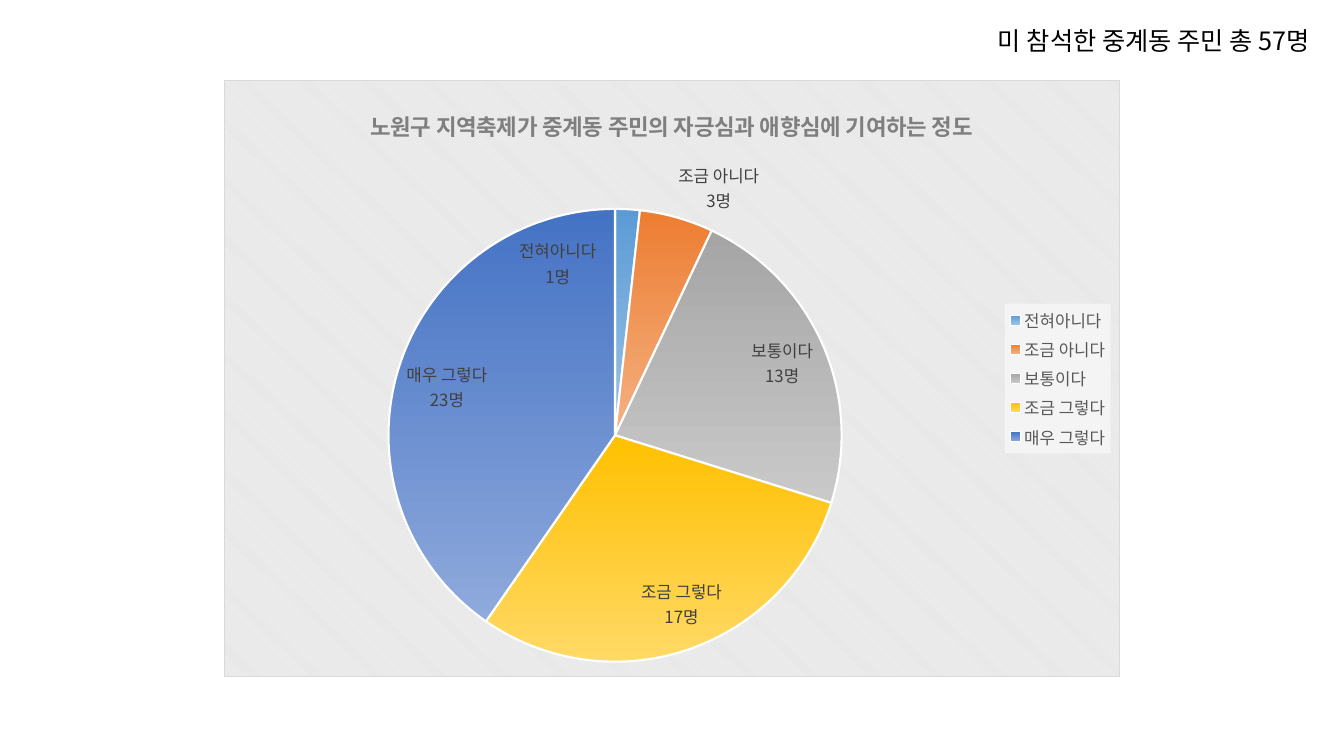
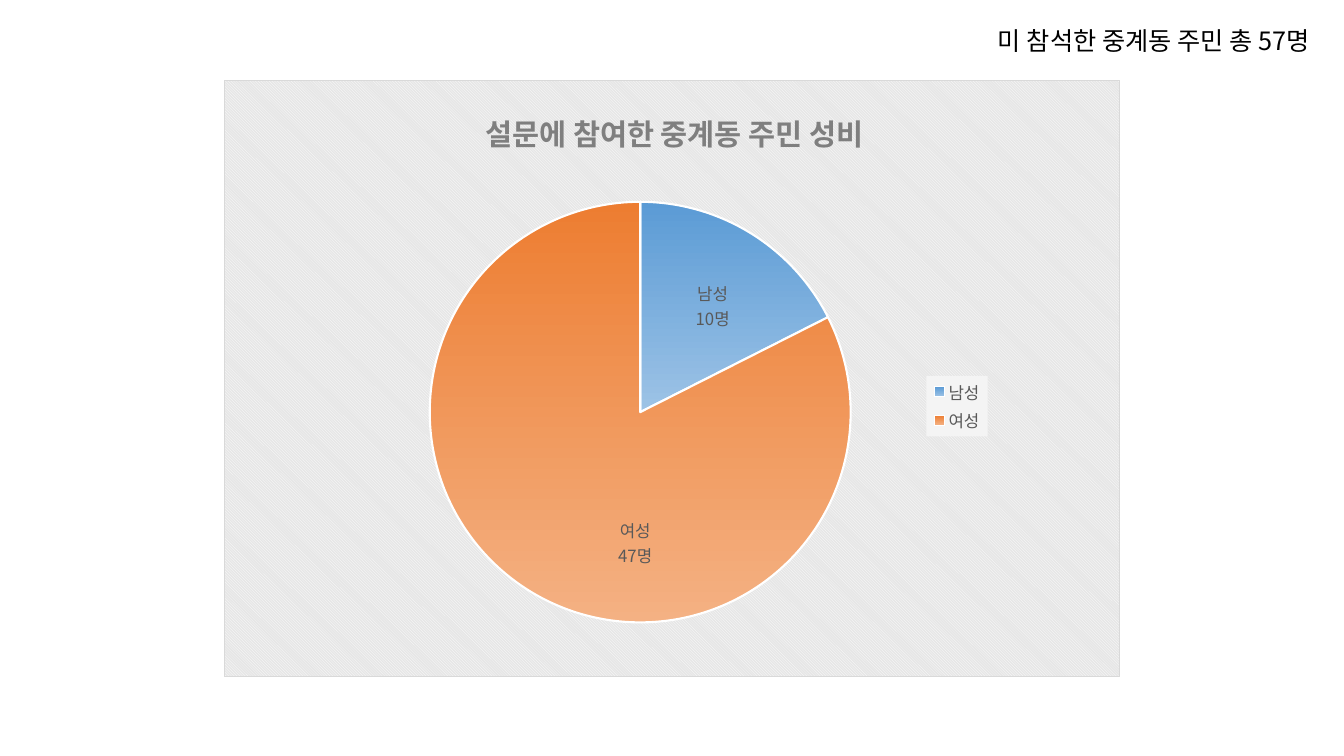
"""Build two survey slides, each with a pie chart of resident answers."""
import math

from lxml import etree
from pptx import Presentation
from pptx import util as u
from pptx.chart.data import CategoryChartData
from pptx.dml.color import RGBColor
from pptx.enum import chart as ch, text
from pptx.oxml import parse_xml
from pptx.oxml.ns import nsdecls, qn

FONT = "Noto Sans CJK KR"
COLORS = {"text": "000000", "title": "7F7F7F", "legend": "595959", "dark": "404040",
          "white": "FFFFFF", "stripe": "E6E6E6", "border": "D9D9D9", "legend_bg": "F4F4F4"}
SLICES = [("5B9BD5", "9DC3E6"), ("ED7D31", "F4B183"), ("A5A5A5", "C9C9C9"),
          ("FFC000", "FFD966"), ("4472C4", "8FAADC")]
LEFT, TOP, WIDTH, HEIGHT = 2.22, 0.79, 8.89, 5.93

SURVEYS = [
    dict(title="노원구 지역축제가 중계동 주민의 자긍심과 애향심에 기여하는 정도",
         title_size=16, title_at=(3.63, 1.02), center=(6.1, 4.32), radius=2.25,
         legend=(9.97, 3.01, 1.05, 1.49), label_color="dark",
         answers=[("전혀아니다", 1, (5.53, 2.61)), ("조금 아니다", 3, (7.13, 1.86)),
                  ("보통이다", 13, (7.76, 3.6)), ("조금 그렇다", 17, (6.76, 5.99)),
                  ("매우 그렇다", 23, (4.43, 3.84))]),
    dict(title="설문에 참여한 중계동 주민 성비",
         title_size=21, title_at=(4.76, 1.02), center=(6.35, 4.09), radius=2.09,
         legend=(9.19, 3.73, 0.61, 0.6), label_color="legend",
         answers=[("남성", 10, (7.07, 3.03)), ("여성", 47, (6.3, 5.39))]),
]


def rgb(name):
    return RGBColor.from_string(COLORS.get(name, name))


def style(font, size, color, bold=False):
    font.name, font.size, font.bold = FONT, u.Pt(size), bold
    font.color.rgb = rgb(color)


def write(tf, content, size=12, color="text", bold=False):
    tf.text = content
    for p in tf.paragraphs:
        for r in p.runs:
            style(r.font, size, color, bold)
            ea = etree.SubElement(r._r.get_or_add_rPr(), qn("a:ea"))
            ea.set("typeface", FONT)


def place(element, x, y, w=None, h=None, index=1, absolute=True):
    """Give a chart part a manual layout in fractions of the chart."""
    for old in element.findall(qn("c:layout")):
        element.remove(old)
    values = []
    if index == 0:
        values.append(("layoutTarget", "inner"))
    if absolute:
        values += [("xMode", "edge"), ("yMode", "edge")]
    values += [("x", x / WIDTH), ("y", y / HEIGHT)]
    if w:
        values += [("w", w / WIDTH), ("h", h / HEIGHT)]
    layout = etree.Element(qn("c:layout"))
    manual = etree.SubElement(layout, qn("c:manualLayout"))
    for tag, value in values:
        etree.SubElement(manual, qn("c:" + tag)).set("val", str(value))
    element.insert(index, layout)


def shape_props(content):
    return parse_xml(f'<c:spPr {nsdecls("c", "a")}>{content}</c:spPr>')


def solid(color):
    return f'<a:solidFill><a:srgbClr val="{COLORS[color]}"/></a:solidFill>'


def add_background(chart):
    chart.element.find(qn("c:chart")).addnext(shape_props(
        '<a:pattFill prst="dkDnDiag">'
        f'<a:fgClr><a:srgbClr val="{COLORS["white"]}"/></a:fgClr>'
        f'<a:bgClr><a:srgbClr val="{COLORS["stripe"]}"/></a:bgClr></a:pattFill>'
        f'<a:ln w="9525">{solid("border")}</a:ln>'))


def add_title(chart, survey):
    chart.has_title = True
    write(chart.chart_title.text_frame, survey["title"], survey["title_size"], "title", True)
    x, y = survey["title_at"]
    place(chart.element.find(".//" + qn("c:title")), x - LEFT, y - TOP)


def add_legend(chart, box):
    chart.has_legend = True
    chart.legend.position = ch.XL_LEGEND_POSITION.RIGHT
    chart.legend.include_in_layout = False
    style(chart.legend.font, 12, "legend")
    legend = chart.element.find(".//" + qn("c:legend"))
    x, y, w, h = box
    place(legend, x - LEFT, y - TOP, w, h)
    legend.find(qn("c:overlay")).addnext(shape_props(solid("legend_bg")))


def paint_slice(point, colors):
    fill = point.format.fill
    fill.gradient()
    fill.gradient_angle = 270
    for stop, color in zip(fill.gradient_stops, colors):
        stop.color.rgb = rgb(color)
    point.format.line.color.rgb = rgb("white")
    point.format.line.width = u.Pt(1.5)


def add_slices(chart, survey):
    """Paint the slices and move each label from its slice centre to its place."""
    plot = chart.plots[0]
    plot.vary_by_categories = True
    series = plot.series[0]
    labels = series.data_labels
    labels.show_value = labels.show_category_name = True
    labels.position = ch.XL_LABEL_POSITION.CENTER
    style(labels.font, 12, survey["label_color"])
    answers, (cx, cy) = survey["answers"], survey["center"]
    total, seen = sum(n for _, n, _ in answers), 0
    for i, (name, count, (x, y)) in enumerate(answers):
        point = series.points[i]
        paint_slice(point, SLICES[i])
        label = point.data_label
        write(label.text_frame, f"{name}\n{count}명", 12, survey["label_color"])
        label.position = ch.XL_LABEL_POSITION.CENTER
        angle = 2 * math.pi * (seen + count / 2) / total
        reach = survey["radius"] / 2
        element = chart.element.findall(".//" + qn("c:dLbl"))[i]
        element.find(qn("c:showCatName")).set("val", "1")
        place(element, x - cx - reach * math.sin(angle),
              y - cy + reach * math.cos(angle), absolute=False)
        seen += count
    for leader in chart.element.iter(qn("c:showLeaderLines")):
        leader.set("val", "0")


def add_pie(s, survey):
    data = CategoryChartData()
    data.categories = [name for name, _, _ in survey["answers"]]
    data.add_series("Series 1", [count for _, count, _ in survey["answers"]])
    box = [u.Inches(v) for v in (LEFT, TOP, WIDTH, HEIGHT)]
    chart = s.shapes.add_chart(ch.XL_CHART_TYPE.PIE, *box, data).chart
    style(chart.font, 10, "text")
    add_background(chart)
    add_title(chart, survey)
    add_legend(chart, survey["legend"])
    add_slices(chart, survey)
    (cx, cy), radius = survey["center"], survey["radius"]
    place(chart.element.find(".//" + qn("c:plotArea")), cx - radius - LEFT,
          cy - radius - TOP, 2 * radius, 2 * radius, index=0)


def add_headcount(s):
    sp = s.shapes.add_textbox(u.Inches(9.8), u.Inches(0.2), u.Inches(3.7), u.Inches(0.4))
    tf = sp.text_frame
    tf.word_wrap = False
    tf.auto_size = text.MSO_AUTO_SIZE.SHAPE_TO_FIT_TEXT
    write(tf, "미 참석한 중계동 주민 총 57명", 18)


def main():
    prs = Presentation()
    prs.slide_width, prs.slide_height = u.Inches(13.33), u.Inches(7.5)
    for survey in SURVEYS:
        s = prs.slides.add_slide(prs.slide_layouts[6])
        add_pie(s, survey)
        add_headcount(s)
    prs.save("out.pptx")


if __name__ == "__main__":
    main()
